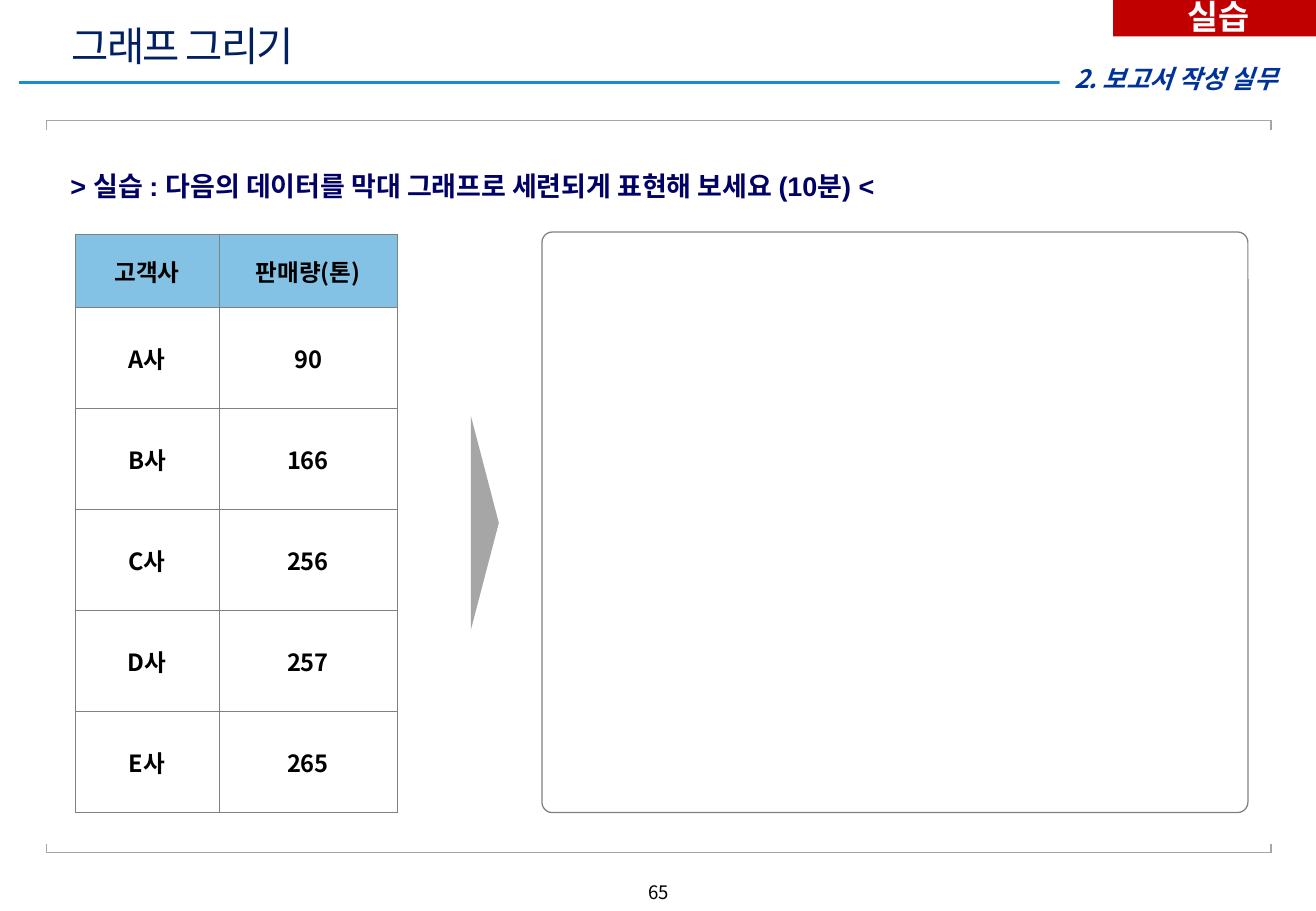
import pptx
import pptx.util
import pptx.dml.color
import pptx.enum.shapes
import pptx.enum.text
import pptx.oxml
import pptx.oxml.ns

Inches = pptx.util.Inches
Pt = pptx.util.Pt
SHAPE = pptx.enum.shapes.MSO_SHAPE
CENTER = pptx.enum.text.PP_ALIGN.CENTER
LEFT = pptx.enum.text.PP_ALIGN.LEFT
MIDDLE = pptx.enum.text.MSO_ANCHOR.MIDDLE
TOP = pptx.enum.text.MSO_ANCHOR.TOP
qn = pptx.oxml.ns.qn

KOREAN = "Noto Sans CJK KR"
TITLE = "그래프 그리기"
SECTION = "2. 보고서 작성 실무"
TASK = "> 실습 : 다음의 데이터를 막대 그래프로 세련되게 표현해 보세요 (10분) <"
BADGE = "실습"
PAGE = "65"
SALES = [
    ("고객사", "판매량(톤)"),
    ("A사", "90"),
    ("B사", "166"),
    ("C사", "256"),
    ("D사", "257"),
    ("E사", "265"),
]
TABLE_BOX = (0.62, 1.93, 2.65, 4.76)
COL_WIDTHS = (1.18, 1.47)
HEADER_HEIGHT = 0.6
FRAME_LEFT, FRAME_RIGHT = 0.38, 10.46
BRACKETS = [(0.99, 1.07), (7.02, 6.95)]
PAD = (0.1, 0.05, 0.1, 0.05)


def rgb(value):
    return pptx.dml.color.RGBColor.from_string(value)


def set_margins(target, margins):
    for side, value in zip(("left", "top", "right", "bottom"), margins):
        setattr(target, "margin_" + side, Inches(value))


def write(tf, text, color, size, name=KOREAN, align=CENTER, **formats):
    p = tf.paragraphs[0]
    p.alignment = align
    r = p.add_run()
    r.text = text
    r.font.color.rgb = rgb(color)
    for key, value in {"size": Pt(size), "name": name, **formats}.items():
        setattr(r.font, key, value)
    ea = pptx.oxml.parse_xml(
        f'<a:ea {pptx.oxml.ns.nsdecls("a")} typeface="{KOREAN}"/>')
    r.font._element.find(qn("a:latin")).addnext(ea)
    return p, r


def set_frame(s, margins=PAD, wrap=True, anchor=MIDDLE):
    tf = s.text_frame
    tf.word_wrap = wrap
    tf.vertical_anchor = anchor
    set_margins(tf, margins)
    return tf


def add_text(box, margins=PAD, wrap=True, anchor=MIDDLE):
    return set_frame(sp.add_textbox(*map(Inches, box)), margins, wrap, anchor)


def add_shape(kind, box, fill=None, line=None):
    s = sp.add_shape(kind, *map(Inches, box))
    s.shadow.inherit = False
    if fill:
        s.fill.solid()
        s.fill.fore_color.rgb = rgb(fill)
    else:
        s.fill.background()
    if line:
        s.line.color.rgb = rgb(line)
        s.line.width = Pt(0.75)
    else:
        s.line.fill.background()
    return s


def add_line(x1, y1, x2, y2, color, width):
    s = sp.add_connector(pptx.enum.shapes.MSO_CONNECTOR.STRAIGHT,
                         *map(Inches, (x1, y1, x2, y2)))
    s.line.color.rgb = rgb(color)
    s.line.width = Pt(width)
    s._element.spPr.append(pptx.oxml.parse_xml(
        f'<a:effectLst {pptx.oxml.ns.nsdecls("a")}/>'))


def set_borders(cell, color, width):
    tcPr = cell._tc.get_or_add_tcPr()
    for i, tag in enumerate(("lnL", "lnR", "lnT", "lnB")):
        tcPr.insert(i, pptx.oxml.parse_xml(
            f'<a:{tag} {pptx.oxml.ns.nsdecls("a")} w="{Pt(width)}">'
            f'<a:solidFill><a:srgbClr val="{color}"/></a:solidFill></a:{tag}>'))


def add_sales_table():
    table = sp.add_table(len(SALES), len(COL_WIDTHS),
                         *map(Inches, TABLE_BOX)).table
    table.first_row = table.horz_banding = False
    for col, width in zip(table.columns, COL_WIDTHS):
        col.width = Inches(width)
    body_height = (TABLE_BOX[3] - HEADER_HEIGHT) / (len(SALES) - 1)
    for i, values in enumerate(SALES):
        header = i == 0
        table.rows[i].height = Inches(HEADER_HEIGHT if header else body_height)
        for j, value in enumerate(values):
            cell = table.cell(i, j)
            cell.vertical_anchor = MIDDLE
            set_margins(cell, (0.09, 0.05, 0.09, 0.05) if header else (0,) * 4)
            if header:
                cell.fill.solid()
                cell.fill.fore_color.rgb = rgb("83C2E5")
            else:
                cell.fill.background()
            set_borders(cell, "808080", 0.25)
            write(cell.text_frame, value, "000000", 14, bold=True)


prs = pptx.Presentation()
prs.slide_width, prs.slide_height = Inches(10.83), Inches(7.5)
sp = prs.slides.add_slide(prs.slide_layouts[6]).shapes

add_line(0.16, 0.68, 10.59, 0.68, "188DD0", 2)
write(add_text((4.39, 7.2, 2.06, 0.25), anchor=TOP), PAGE, "000000", 11)

section = add_shape(SHAPE.RECTANGLE, (8.72, 0.52, 1.97, 0.25), "FFFFFF")
write(set_frame(section, (0.04, 0.05, 0.1, 0.05), False), SECTION,
      "003399", 15, bold=True, italic=True)

arrow = add_shape(SHAPE.ISOSCELES_TRIANGLE, (3.11, 4.19, 1.76, 0.23), "A6A6A6")
arrow.rotation = 90

p, r = write(add_text((0.58, 1.23, 8.96, 0.47), (0, 0.05, 0, 0.05)), TASK,
             "000066", 16, "Arial", LEFT, bold=True)
p.line_spacing = 1.5
pPr = p._p.get_or_add_pPr()
pPr.set("marL", str(Inches(0.19)))
pPr.set("indent", str(Inches(-0.19)))

answer = add_shape(SHAPE.ROUNDED_RECTANGLE, (4.46, 1.91, 5.81, 4.78),
                   line="808080")
answer.adjustments[0] = 0.018

p, r = write(add_text((0.49, 0.19, 6.38, 0.37), wrap=False), TITLE,
             "002060", 24, align=LEFT)
r.font._element.set("spc", "-100")

for edge, tip in BRACKETS:
    add_line(FRAME_LEFT, edge, FRAME_RIGHT, edge, "A6A6A6", 0.75)
    for x in (FRAME_LEFT, FRAME_RIGHT):
        add_line(x, edge, x, tip, "A6A6A6", 0.75)

add_sales_table()

badge = add_shape(SHAPE.RECTANGLE, (9.16, -0.03, 1.73, 0.33), "C00000")
write(set_frame(badge), BADGE, "FFFFFF", 20, "Arial", bold=True)

prs.save("out.pptx")
